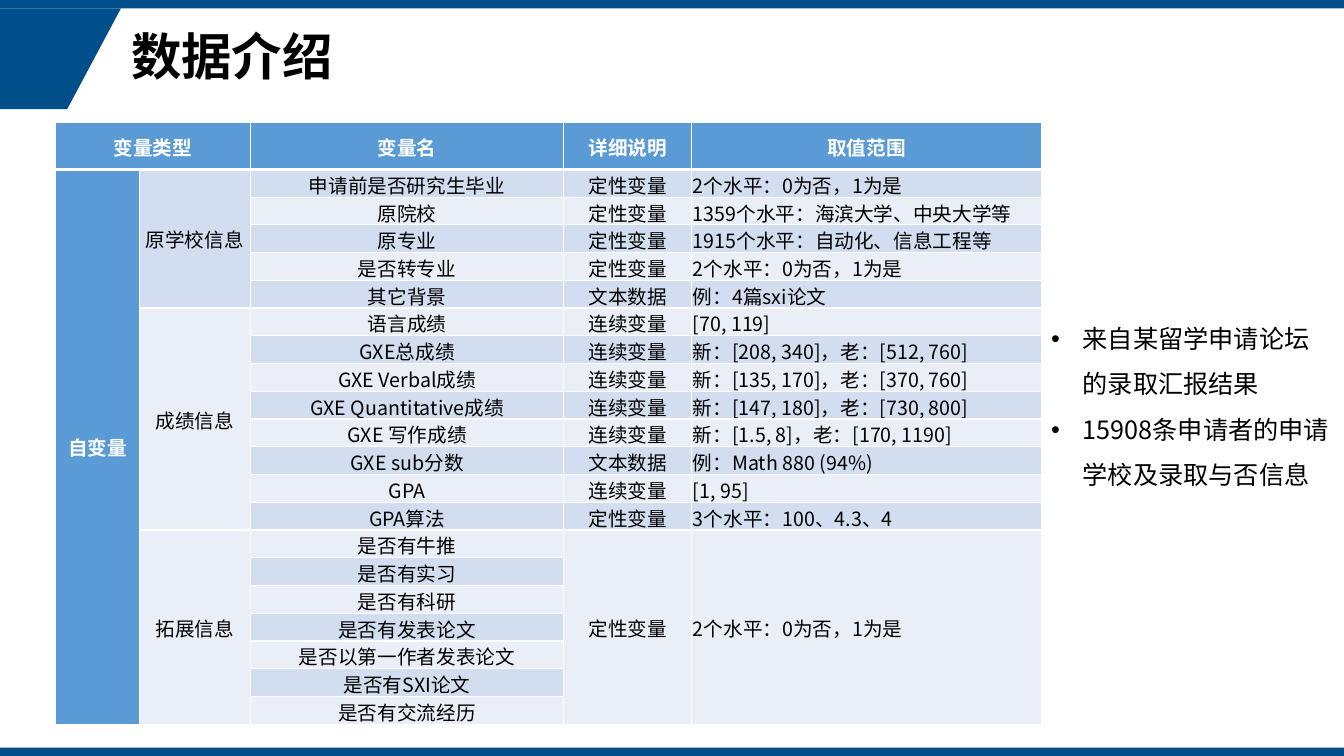
from lxml.etree import SubElement
from pptx import Presentation
from pptx.dml.color import RGBColor
from pptx.enum.shapes import MSO_SHAPE
from pptx.enum.text import MSO_ANCHOR, MSO_AUTO_SIZE, PP_ALIGN
from pptx.oxml.ns import qn
from pptx.util import Pt

COLORS = {"navy": "004F8A", "header": "5B9BD5", "dark band": "D2DEEF",
          "light band": "EAEFF7", "black": "000000", "white": "FFFFFF"}
FONT = "Noto Sans CJK SC"
HEADINGS = ["变量类型", "", "变量名", "详细说明", "取值范围"]
YES_NO = "2个水平：0为否，1为是"
GROUPS = {
    "原学校信息": [
        ("申请前是否研究生毕业", "定性变量", YES_NO),
        ("原院校", "定性变量", "1359个水平：海滨大学、中央大学等"),
        ("原专业", "定性变量", "1915个水平：自动化、信息工程等"),
        ("是否转专业", "定性变量", YES_NO),
        ("其它背景", "文本数据", "例：4篇sxi论文"),
    ],
    "成绩信息": [
        ("语言成绩", "连续变量", "[70, 119]"),
        ("GXE总成绩", "连续变量", "新：[208, 340]，老：[512, 760]"),
        ("GXE Verbal成绩", "连续变量", "新：[135, 170]，老：[370, 760]"),
        ("GXE Quantitative成绩", "连续变量", "新：[147, 180]，老：[730, 800]"),
        ("GXE 写作成绩", "连续变量", "新：[1.5, 8]，老：[170, 1190]"),
        ("GXE sub分数", "文本数据", "例：Math 880 (94%)"),
        ("GPA", "连续变量", "[1, 95]"),
        ("GPA算法", "定性变量", "3个水平：100、4.3、4"),
    ],
    "拓展信息": [
        ("是否有牛推", "定性变量", YES_NO),
        ("是否有实习", "", ""),
        ("是否有科研", "", ""),
        ("是否有发表论文", "", ""),
        ("是否以第一作者发表论文", "", ""),
        ("是否有SXI论文", "", ""),
        ("是否有交流经历", "", ""),
    ],
}
NOTES = ["来自某留学申请论坛的录取汇报结果", "15908条申请者的申请学校及录取与否信息"]


class Painter:
    """Draws styled elements on the current slide."""

    def __init__(self, page):
        self.page = page

    def paint(self, fill, color):
        fill.solid()
        fill.fore_color.rgb = RGBColor.from_string(COLORS[color])

    def style(self, para, size, color="black", bold=False):
        for span in para.runs:
            span.font.size = Pt(size)
            span.font.bold = bold
            span.font.name = FONT
            span.font.color.rgb = RGBColor.from_string(COLORS[color])
            SubElement(span.font._element, qn("a:ea"), typeface=FONT)

    def finish(self, shape):
        shape.shadow.inherit = False
        self.paint(shape.fill, "navy")
        shape.line.fill.background()

    def band(self, top):
        self.finish(self.page.shapes.add_shape(
            MSO_SHAPE.RECTANGLE, 0, Pt(top), Pt(960), Pt(6)))

    def corner(self, start, *points):
        builder = self.page.shapes.build_freeform(*map(Pt, start), scale=1)
        builder.add_line_segments([(Pt(x), Pt(y)) for x, y in points])
        self.finish(builder.convert_to_shape())

    def title(self, text):
        box = self.page.shapes.title
        box.left, box.top, box.width, box.height = Pt(86.4), Pt(6), Pt(808), Pt(72)
        frame = box.text_frame
        frame.text = text
        frame.auto_size = MSO_AUTO_SIZE.NONE
        frame.vertical_anchor = MSO_ANCHOR.MIDDLE
        para = frame.paragraphs[0]
        para.alignment = PP_ALIGN.LEFT
        para.line_spacing = 0.9
        self.style(para, 36, bold=True)

    def bullets(self, lines, left, top, width, height):
        box = self.page.shapes.add_textbox(Pt(left), Pt(top), Pt(width), Pt(height))
        frame = box.text_frame
        frame.word_wrap = True
        frame.text = "\n".join(lines)
        for para in frame.paragraphs:
            para.line_spacing = 1.5
            self.style(para, 18)
            props = para._p.get_or_add_pPr()
            props.set("marL", str(Pt(22.5)))
            props.set("indent", str(-Pt(22.5)))
            SubElement(props, qn("a:buFont"), typeface="Arial")
            SubElement(props, qn("a:buChar"), char="•")

    def cell(self, cell, text, fill, centered, heading, edges):
        cell.text = text
        cell.vertical_anchor = MSO_ANCHOR.MIDDLE
        cell.margin_left = cell.margin_right = cell.margin_top = Pt(0.75)
        cell.margin_bottom = 0
        para = cell.text_frame.paragraphs[0]
        para.alignment = PP_ALIGN.CENTER if centered else PP_ALIGN.LEFT
        self.style(para, 14, "white" if heading else "black", heading)
        props = cell._tc.get_or_add_tcPr()
        for side, width in edges.items():
            line = SubElement(props, qn(f"a:ln{side}"), w=str(Pt(width)))
            solid = SubElement(line, qn("a:solidFill"))
            SubElement(solid, qn("a:srgbClr"), val=COLORS["white"])
        self.paint(cell.fill, fill)

    def table(self, rows, merges, left, top, widths, heights):
        frame = self.page.shapes.add_table(
            len(rows), len(widths), Pt(left), Pt(top), Pt(sum(widths)), Pt(sum(heights)))
        table = frame.table
        for column, width in zip(table.columns, widths):
            column.width = Pt(width)
        for row, height in zip(table.rows, heights):
            row.height = Pt(height)
        for r, row in enumerate(rows):
            for c, text in enumerate(row):
                heading = r == 0 or c == 0
                fill = "header" if heading else "dark band" if r % 2 else "light band"
                edges = {"L": 1, "R": 1, "T": 3 if r == 1 else 1, "B": 3 if r == 0 else 1}
                self.cell(table.cell(r, c), text, fill, r == 0 or c < 4, heading, edges)
        for first, last in merges:
            table.cell(*first).merge(table.cell(*last))


def variable_grid():
    """Return the table rows and the cell ranges to merge."""
    rows, merges = [HEADINGS], [((0, 0), (0, 1))]
    for group, variables in GROUPS.items():
        first, last = len(rows), len(rows) + len(variables) - 1
        merges.append(((first, 1), (last, 1)))
        if not variables[-1][1]:
            merges += [((first, c), (last, c)) for c in (3, 4)]
        for index, variable in enumerate(variables):
            rows.append(["自变量" if len(rows) == 1 else "",
                         group if index == 0 else "", *variable])
    merges.append(((1, 0), (len(rows) - 1, 0)))
    return rows, merges


def main():
    deck = Presentation()
    deck.slide_width, deck.slide_height = Pt(960), Pt(540)
    painter = Painter(deck.slides.add_slide(deck.slide_layouts[5]))
    painter.corner((0, 6), (86.4, 6), (48, 78), (0, 78))
    painter.band(0)
    painter.band(534)
    painter.title("数据介绍")
    painter.bullets(NOTES, 743.8, 216.7, 216, 134.6)
    rows, merges = variable_grid()
    painter.table(rows, merges, 39.8, 87.8, [59.8, 79.2, 224, 91.4, 249.7],
                  [33.2] + [19.84] * (len(rows) - 1))
    deck.save("out.pptx")


if __name__ == "__main__":
    main()
